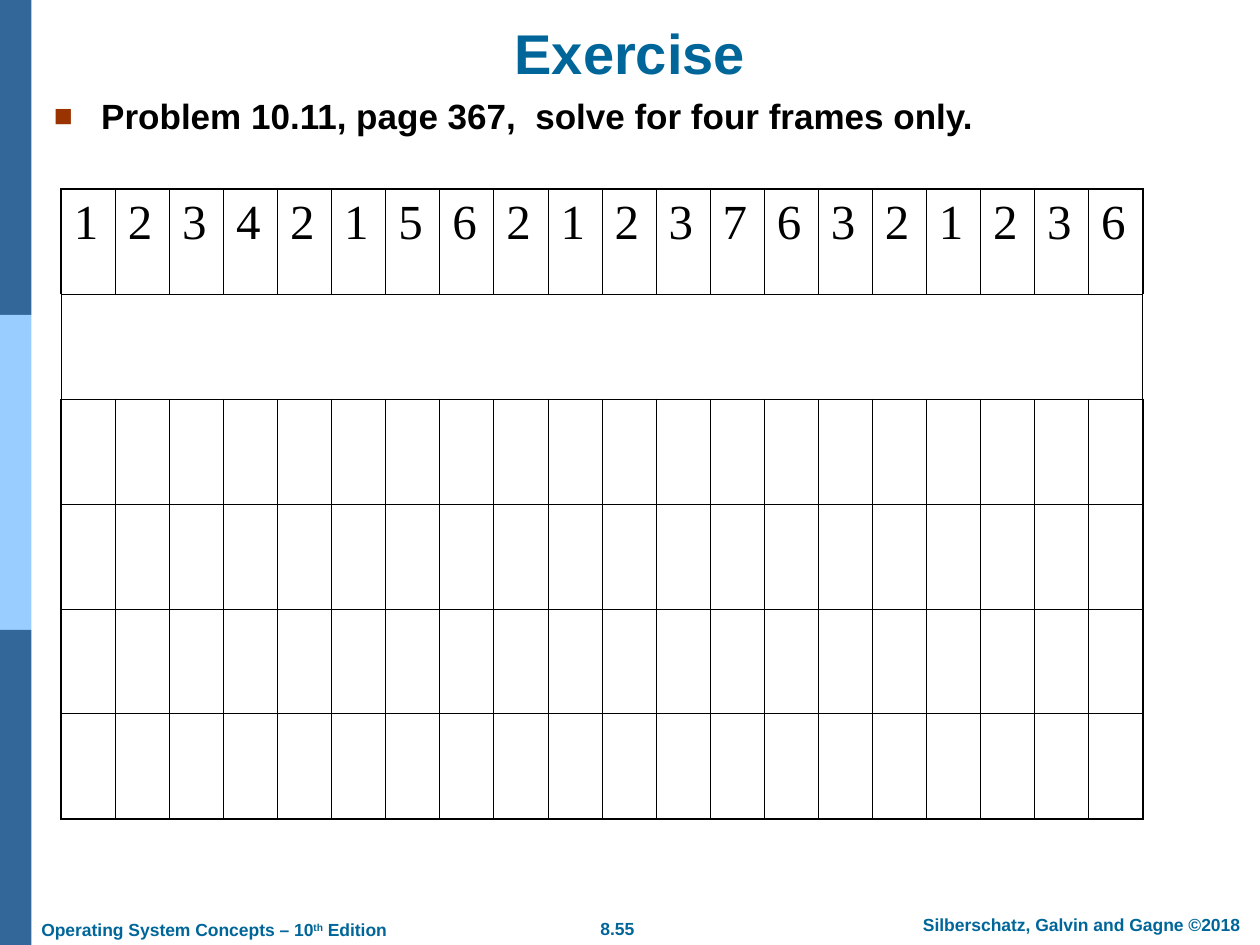
from lxml import etree
from pptx import Presentation
from pptx.dml.color import RGBColor
from pptx.enum.shapes import MSO_SHAPE
from pptx.enum.text import MSO_ANCHOR, PP_ALIGN
from pptx.oxml.ns import qn
from pptx.util import Pt

RECT = MSO_SHAPE.RECTANGLE
LEFT, CENTER = PP_ALIGN.LEFT, PP_ALIGN.CENTER
TOP, BOTTOM = MSO_ANCHOR.TOP, MSO_ANCHOR.BOTTOM

DARK_BLUE = RGBColor(0x33, 0x66, 0x99)
LIGHT_BLUE = RGBColor(0x99, 0xCC, 0xFF)
TEAL = RGBColor(0x00, 0x66, 0x99)
RUST = RGBColor(0x99, 0x33, 0x00)
BLACK = RGBColor(0, 0, 0)

REFERENCES = "12342156212376321236"
ROWS = 6
GAP_ROW = 1
THIN, THICK = 0.45, 1.08

TITLE = {"name": "Arial", "size": Pt(32), "bold": True}
BODY = {"name": "Arial", "size": Pt(20), "bold": True}
FOOTER = {"name": "Arial", "size": Pt(10), "bold": True}
DIGIT = {"name": "Times New Roman", "size": Pt(28), "bold": False}


def add_run(p, text, style, color):
    r = p.add_run()
    r.text = text
    for key, value in style.items():
        setattr(r.font, key, value)
    r.font.color.rgb = color
    return r


def add_text(slide, box, text, style, color, align=LEFT, anchor=TOP):
    tf = slide.shapes.add_textbox(*map(Pt, box)).text_frame
    tf.word_wrap = True
    tf.vertical_anchor = anchor
    p = tf.paragraphs[0]
    p.alignment = align
    add_run(p, text, style, color)
    return p


def add_sidebar(slide, left, top, width, height):
    band = height / 3
    for i, color in enumerate((DARK_BLUE, LIGHT_BLUE, DARK_BLUE)):
        s = slide.shapes.add_shape(RECT, Pt(left), Pt(top + i * band), Pt(width), Pt(band))
        s.shadow.inherit = False
        s.fill.solid()
        s.fill.fore_color.rgb = color
        s.line.fill.background()


def add_bullet(p, indent):
    pPr = p._p.get_or_add_pPr()
    pPr.set("marL", str(Pt(indent)))
    pPr.set("indent", str(-Pt(indent)))
    color = etree.SubElement(pPr, qn("a:buClr"))
    etree.SubElement(color, qn("a:srgbClr"), val=str(RUST))
    etree.SubElement(pPr, qn("a:buSzPct"), val="90000")
    etree.SubElement(pPr, qn("a:buFont"), typeface="Arial")
    etree.SubElement(pPr, qn("a:buChar"), char="■")


def set_borders(cell, widths):
    """Draw the left, right, top and bottom borders; a width of 0 hides one."""
    tcPr = cell._tc.get_or_add_tcPr()
    for side, width in zip("LRTB", widths):
        ln = etree.SubElement(tcPr, qn(f"a:ln{side}"), w=str(Pt(width)))
        if width:
            fill = etree.SubElement(ln, qn("a:solidFill"))
            etree.SubElement(fill, qn("a:srgbClr"), val=str(BLACK))
        else:
            etree.SubElement(ln, qn("a:noFill"))


def border_widths(row, col):
    last_col = len(REFERENCES) - 1
    edge, inner = (THIN, 0) if row == GAP_ROW else (THICK, THIN)
    return (
        edge if col == 0 else inner,
        edge if col == last_col else inner,
        THICK if row == 0 else THIN,
        THICK if row == ROWS - 1 else THIN,
    )


def add_frame_table(slide, left, top, width, height):
    cols = len(REFERENCES)
    table = slide.shapes.add_table(ROWS, cols, *map(Pt, (left, top, width, height))).table
    table.first_row = table.horz_banding = False
    for column in table.columns:
        column.width = Pt(width / cols)
    for i, row in enumerate(table.rows):
        row.height = Pt(height / ROWS)
        for j, cell in enumerate(row.cells):
            set_borders(cell, border_widths(i, j))
            cell.fill.background()
    for j, page in enumerate(REFERENCES):
        add_run(table.cell(0, j).text_frame.paragraphs[0], page, DIGIT, BLACK)


def add_footer(slide, left, top, width, height):
    p = add_text(slide, (left, top + 3, 220, height),
                 "Operating System Concepts – 10", FOOTER, TEAL)
    suffix = add_run(p, "th", FOOTER, TEAL)
    suffix.font._element.set("baseline", "30000")
    add_run(p, " Edition", FOOTER, TEAL)
    add_text(slide, (left + 301, top + 2.5, 70.5, height),
             "8.55", FOOTER, TEAL, CENTER)
    add_text(slide, (left + width - 214, top, 214, height),
             "Silberschatz, Galvin and Gagne ©2018", FOOTER, TEAL, CENTER)


def main():
    prs = Presentation()
    prs.slide_width, prs.slide_height = Pt(720), Pt(540)
    slide = prs.slides.add_slide(prs.slide_layouts[6])
    add_sidebar(slide, 0, 0, 18, 540)
    add_footer(slide, 16.5, 518.5, 708.5, 19.5)
    add_frame_table(slide, 35, 108, 618, 360)
    add_text(slide, (36, 0, 648, 52.5), "Exercise", TITLE, TEAL, CENTER, BOTTOM)
    p = add_text(slide, (23.75, 50.5, 696, 35),
                 "Problem 10.11, page 367,  solve for four frames only.", BODY, BLACK)
    add_bullet(p, 27)
    prs.save("out.pptx")


if __name__ == "__main__":
    main()
